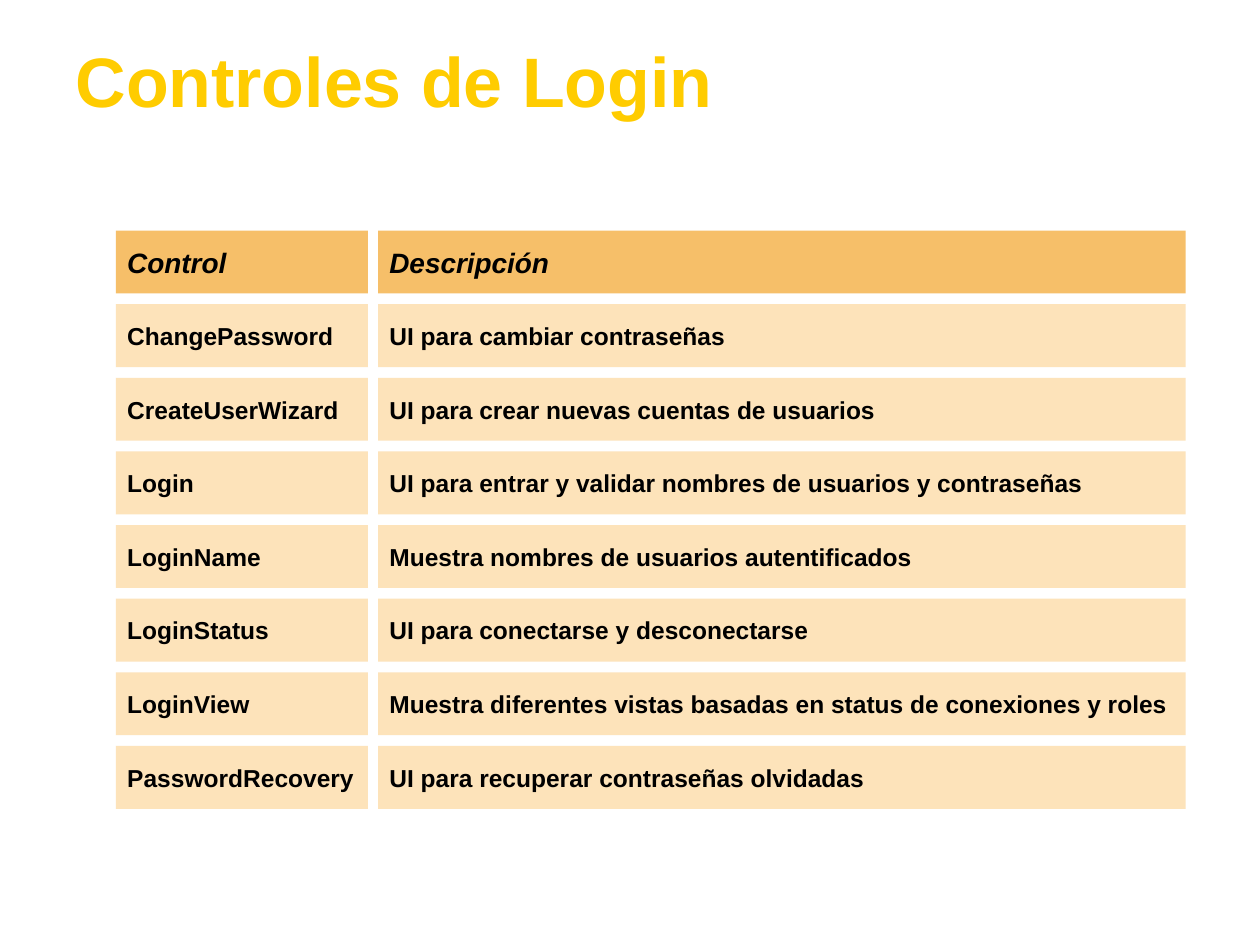
from lxml import etree
from pptx import Presentation
from pptx import util as u
from pptx.dml.color import RGBColor
from pptx.enum import shapes, text
from pptx.oxml import parse_xml

TEXT_SHADOW = (
    '<a:effectLst xmlns:a="http://schemas.openxmlformats.org/drawingml/2006/main">'
    '<a:outerShdw dist="35921" dir="2700000"><a:srgbClr val="000000"/></a:outerShdw>'
    '</a:effectLst>'
)


def color(hex_code):
    return RGBColor.from_string(hex_code)


def write(shape, words, size, hex_code="000000", italic=False, inset=0.09, wrap=False):
    """Put one bold, left-aligned line in a shape and return its run."""
    frame = shape.text_frame
    frame.word_wrap = wrap
    frame.auto_size = text.MSO_AUTO_SIZE.NONE
    frame.vertical_anchor = text.MSO_ANCHOR.MIDDLE
    frame.margin_left = frame.margin_right = u.Inches(inset)
    frame.margin_top = frame.margin_bottom = u.Inches(inset)
    paragraph = frame.paragraphs[0]
    paragraph.alignment = text.PP_ALIGN.LEFT
    run = paragraph.add_run()
    run.text = words
    run.font.name = "Arial"
    run.font.size = u.Pt(size)
    run.font.bold = True
    run.font.italic = italic
    run.font.color.rgb = color(hex_code)
    return run


prs = Presentation()
prs.slide_width, prs.slide_height = u.Inches(10), u.Inches(7.5)
slide = prs.slides.add_slide(prs.slide_layouts[5])

title = slide.shapes.title
title.left, title.top = u.Inches(0.5), u.Inches(0.21)
title.width, title.height = u.Inches(9.38), u.Inches(0.85)
heading = write(title, "Controles de Login", 40, "FFCC00", inset=0.1, wrap=True)
# The shadow must come right after the fill in the run properties
heading.font.fill  # fill is already solid
fill_element = heading.font._element.find(
    "{http://schemas.openxmlformats.org/drawingml/2006/main}solidFill")
fill_element.addnext(parse_xml(TEXT_SHADOW))

controls = [
    ("Control", "Descripción"),
    ("ChangePassword", "UI para cambiar contraseñas"),
    ("CreateUserWizard", "UI para crear nuevas cuentas de usuarios"),
    ("Login", "UI para entrar y validar nombres de usuarios y contraseñas"),
    ("LoginName", "Muestra nombres de usuarios autentificados"),
    ("LoginStatus", "UI para conectarse y desconectarse"),
    ("LoginView", "Muestra diferentes vistas basadas en status de conexiones y roles"),
    ("PasswordRecovery", "UI para recuperar contraseñas olvidadas"),
]
columns = [(0.92, 2), (3, 6.41)]  # left, width
first_top, row_height = 1.83, 0.5
row_step = (5.92 - first_top) / (len(controls) - 1)

for row, cells in enumerate(controls):
    is_header = row == 0
    top = first_top + row * row_step
    for (left, width), words in zip(columns, cells):
        cell = slide.shapes.add_shape(
            shapes.MSO_SHAPE.RECTANGLE, u.Inches(left), u.Inches(top),
            u.Inches(width), u.Inches(row_height))
        cell.shadow.inherit = False
        cell.fill.solid()
        cell.fill.fore_color.rgb = color("F6BF69" if is_header else "FDE3BA")
        cell.line.fill.background()
        write(cell, words, 16 if is_header else 14, italic=is_header)

prs.save("out.pptx")
